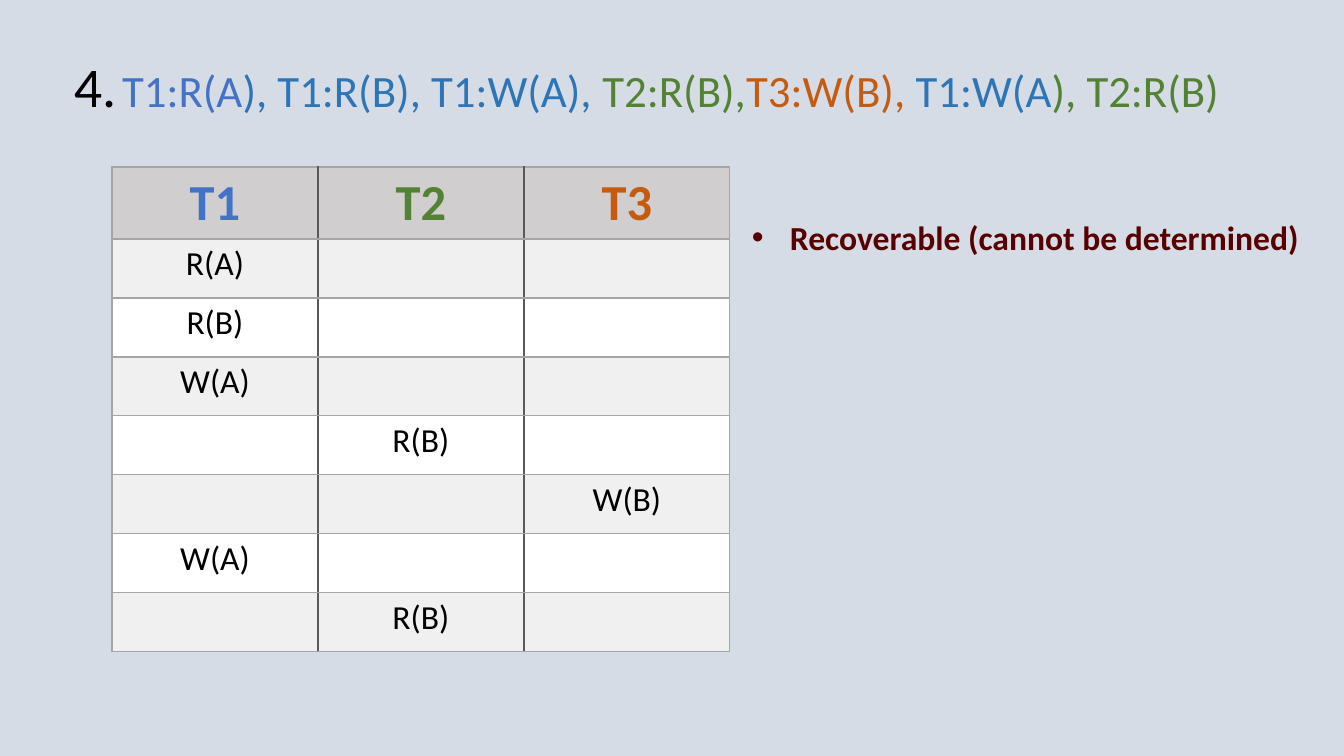
from lxml.etree import SubElement
from pptx import Presentation
from pptx.dml.color import RGBColor
from pptx.enum.text import MSO_ANCHOR as Anchor, MSO_AUTO_SIZE as AutoSize, PP_ALIGN as Align
from pptx.oxml.ns import qn
from pptx.util import Emu, Pt

EMU_PER_PX = 914400 / 100.8
FONT = "Calibri"
BLUE, SKY, GREEN, ORANGE = "4472C4", "2E75B6", "548235", "C55A11"
BLACK, MAROON = "000000", "580000"
OUTER_LINE, INNER_LINE = "A5A5A5", "595959"
BACKGROUND, HEADER_FILL, BAND_FILLS = "D6DCE5", "D0CECE", ("F0F0F0", "FFFFFF")

SCHEDULE_RUNS = [
    ("T1:R(A", BLUE),
    ("), T1:R(B), T1:W(A), ", SKY),
    ("T2:R(B),", GREEN),
    ("T3:W(B), ", ORANGE),
    ("T1:W(A", SKY),
    ("), T2:R(B)", GREEN),
]
TRANSACTIONS = [("T1", BLUE), ("T2", GREEN), ("T3", ORANGE)]
# Column of the transaction, and its operation, in time order
OPERATIONS = [(0, "R(A)"), (0, "R(B)"), (0, "W(A)"), (1, "R(B)"),
              (2, "W(B)"), (0, "W(A)"), (1, "R(B)")]


def px(length):
    return Emu(round(length * EMU_PER_PX))


def rgb(color):
    return RGBColor.from_string(color)


def add_text(paragraph, text, size=24, color=BLACK, bold=False, align=Align.LEFT):
    paragraph.alignment = align
    run = paragraph.add_run()
    run.text = text
    run.font.name = FONT
    run.font.size = Pt(size)
    run.font.bold = bold
    run.font.color.rgb = rgb(color)


def add_text_box(slide, left, top, width, height, wrap=False):
    box = slide.shapes.add_textbox(px(left), px(top), px(width), px(height))
    box.text_frame.word_wrap = wrap
    box.text_frame.auto_size = AutoSize.SHAPE_TO_FIT_TEXT
    return box.text_frame.paragraphs[0]


def add_bullet(paragraph, indent):
    properties = paragraph._p.get_or_add_pPr()
    properties.set("marL", str(px(indent)))
    properties.set("indent", str(-px(indent)))
    SubElement(properties, qn("a:buFont"), typeface="Arial")
    SubElement(properties, qn("a:buChar"), char="•")


def format_cell(cell, fill, borders):
    # Borders must come before the fill in the cell properties
    properties = cell._tc.get_or_add_tcPr()
    for side, color in borders.items():
        line = SubElement(properties, qn(f"a:ln{side}"), w=str(Pt(1)))
        SubElement(SubElement(line, qn("a:solidFill")), qn("a:srgbClr"), val=color)
    cell.fill.solid()
    cell.fill.fore_color.rgb = rgb(fill)


def add_title(slide):
    title = slide.shapes.title
    title.left, title.top, title.width, title.height = px(112), px(58), px(1146), px(65)
    frame = title.text_frame
    frame.word_wrap = False
    frame.auto_size = AutoSize.SHAPE_TO_FIT_TEXT
    frame.vertical_anchor = Anchor.TOP
    frame.paragraphs[0].line_spacing = 1.0
    for text, color in SCHEDULE_RUNS:
        add_text(frame.paragraphs[0], text, size=32, color=color)


def add_schedule_table(slide, left, top, column_width, header_height, row_height):
    row_count, column_count = len(OPERATIONS) + 1, len(TRANSACTIONS)
    frame = slide.shapes.add_table(
        row_count, column_count, px(left), px(top), px(column_width * column_count),
        px(header_height + row_height * len(OPERATIONS)))
    table = frame.table
    for column in table.columns:
        column.width = px(column_width)
    for index, row in enumerate(table.rows):
        row.height = px(row_height if index else header_height)
        fill = BAND_FILLS[(index - 1) % 2] if index else HEADER_FILL
        for number, cell in enumerate(row.cells):
            format_cell(cell, fill, {
                "L": INNER_LINE if number else OUTER_LINE,
                "R": INNER_LINE if number < column_count - 1 else OUTER_LINE,
                "T": OUTER_LINE,
                "B": OUTER_LINE,
            })

    # Header and operations
    for number, (name, color) in enumerate(TRANSACTIONS):
        add_text(table.cell(0, number).text_frame.paragraphs[0], name,
                 size=36, color=color, bold=True, align=Align.CENTER)
    for index, (number, operation) in enumerate(OPERATIONS, start=1):
        add_text(table.cell(index, number).text_frame.paragraphs[0], operation,
                 align=Align.CENTER)


def main():
    presentation = Presentation()
    presentation.slide_width, presentation.slide_height = px(1344), px(756)
    slide = presentation.slides.add_slide(presentation.slide_layouts.get_by_name("Title Only"))
    slide.background.fill.solid()
    slide.background.fill.fore_color.rgb = rgb(BACKGROUND)

    # Schedule and its number
    add_title(slide)
    add_text(add_text_box(slide, 64, 47, 63, 78), "4.", size=40)

    # Operations by transaction
    add_schedule_table(slide, 112, 167, 206, 72, 59)

    # Conclusion
    conclusion = add_text_box(slide, 742, 212, 592, 50, wrap=True)
    add_text(conclusion, "Recoverable (cannot be determined)", color=MAROON, bold=True)
    add_bullet(conclusion, 38)

    presentation.save("out.pptx")


if __name__ == "__main__":
    main()
